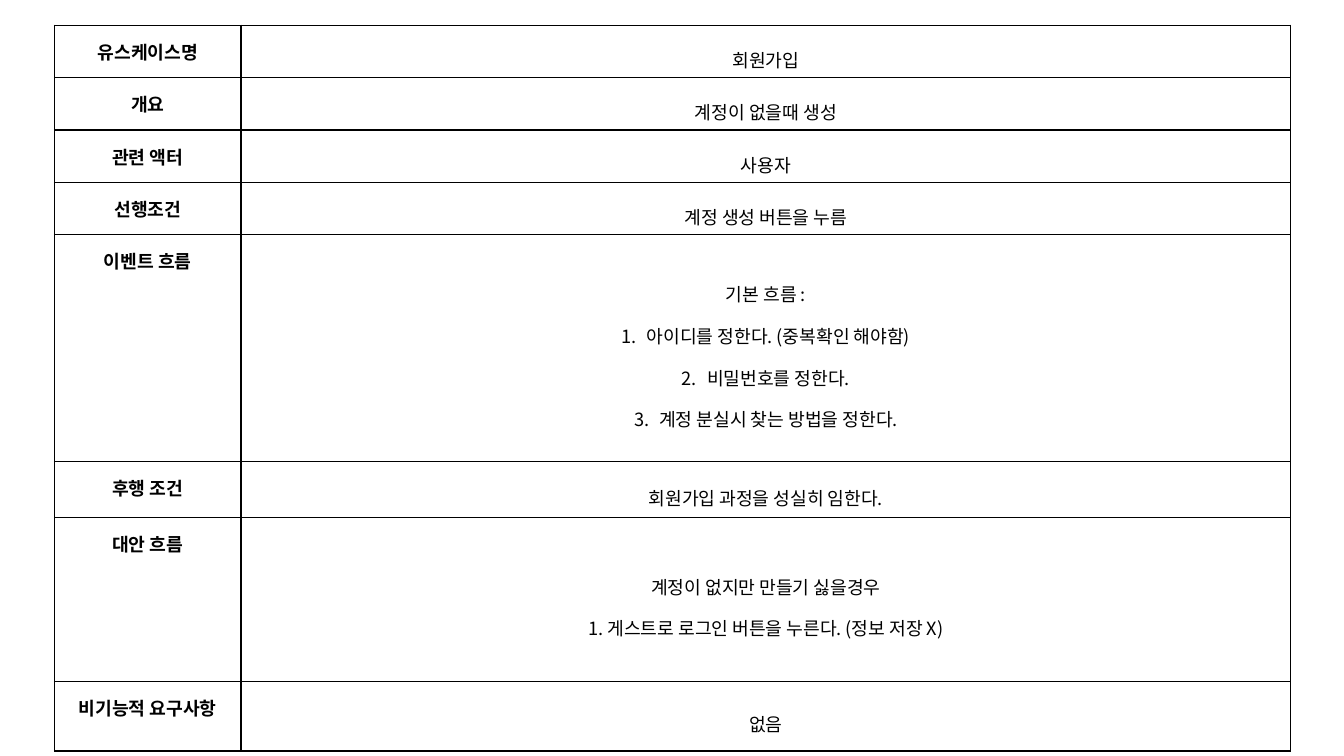
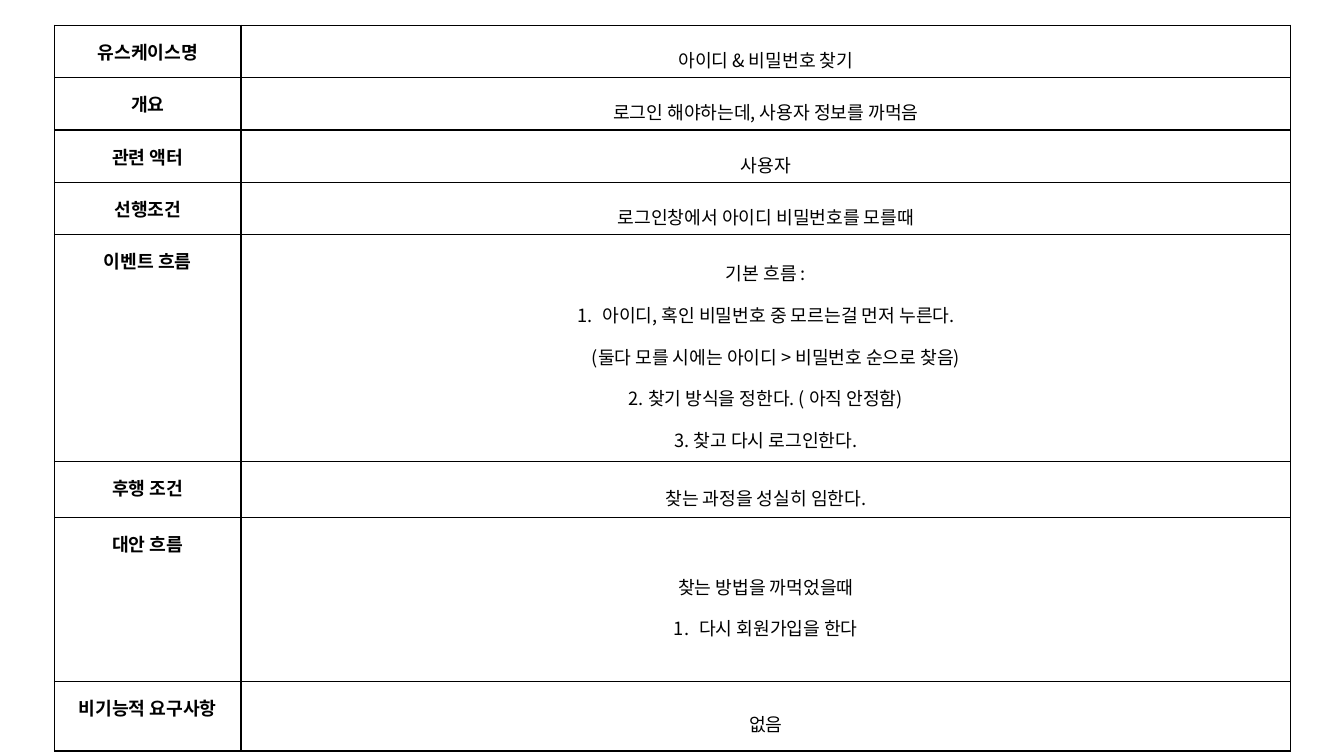
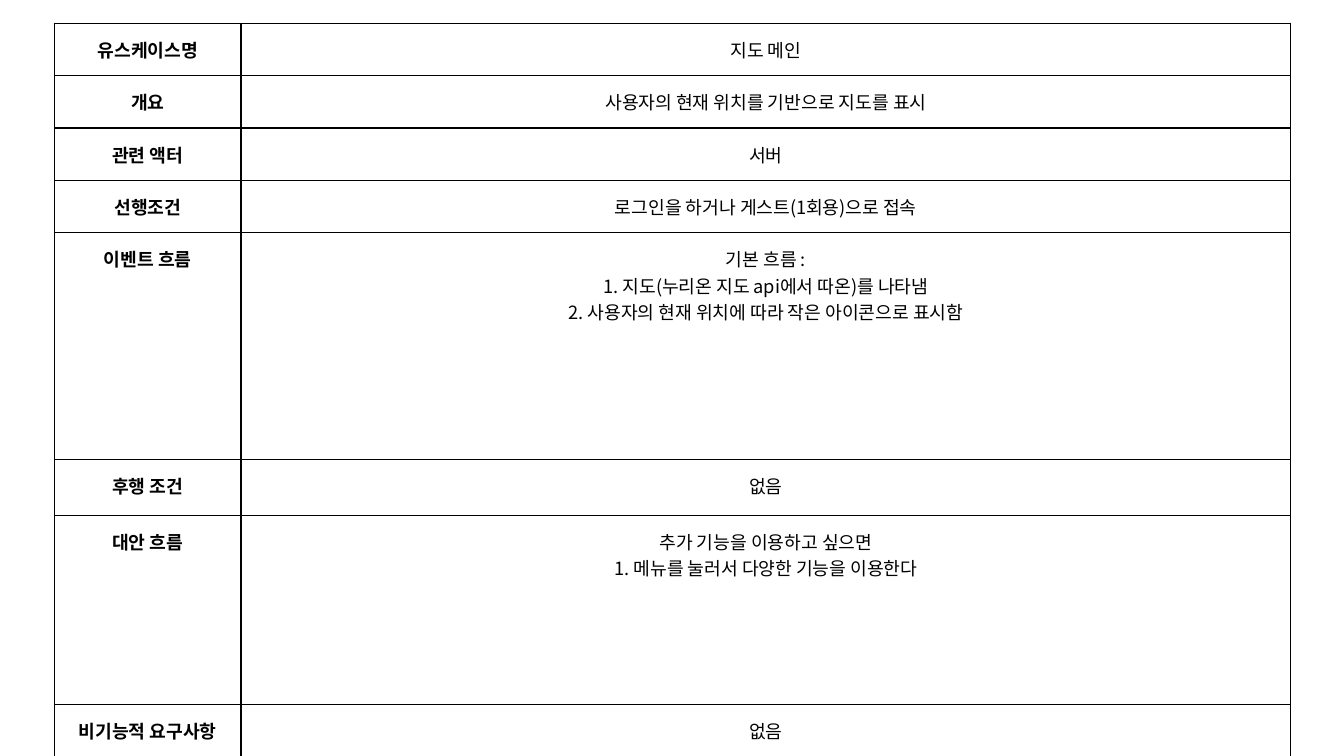
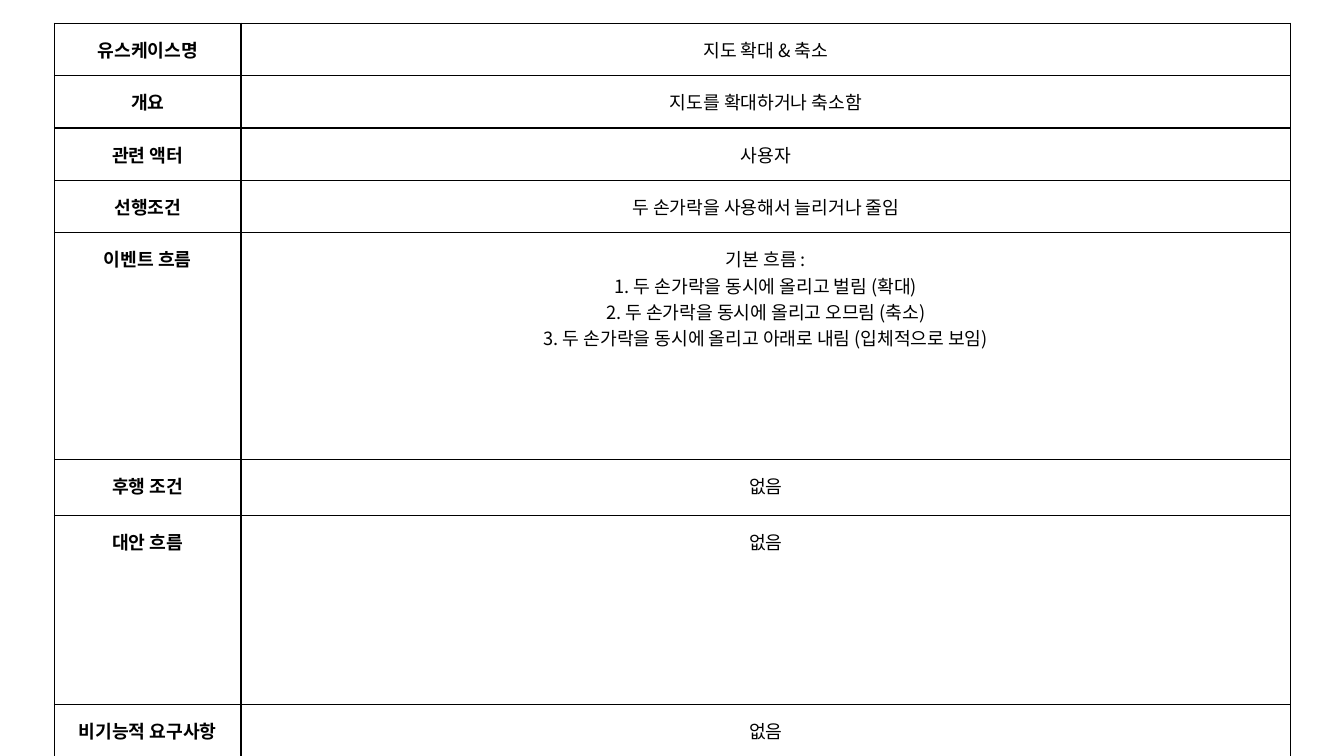
"""Build four use-case specification slides, one table each."""
from pptx import Presentation
from pptx.dml.color import RGBColor
from pptx.enum.text import MSO_ANCHOR, PP_ALIGN
from pptx.oxml.ns import qn
from pptx.util import Inches, Pt
from lxml.etree import SubElement

FONT = "Noto Sans CJK KR"
BLACK = "000000"
FIELDS = ["유스케이스명", "개요", "관련 액터", "선행조건",
          "이벤트 흐름", "후행 조건", "대안 흐름", "비기능적 요구사항"]
COLUMN_WIDTHS = [1.85, 10.41]
LOOSE = dict(top=0.25, heights=[0.46] * 4 + [2.25, 0.55, 1.63, 0.69],
             body=dict(anchor=MSO_ANCHOR.MIDDLE, side=0.07, edge=0.02, spacing=1.6))
TIGHT = dict(top=0.23, heights=[0.47] * 4 + [2.25, 0.55, 1.88, 0.47], body={})
NUMBERED = "# "
INDENTED = "> "

USE_CASES = [
    (LOOSE, [
        ["회원가입"],
        ["계정이 없을때 생성"],
        ["사용자"],
        ["계정 생성 버튼을 누름"],
        ["기본 흐름 :",
         "# 아이디를 정한다. (중복확인 해야함)",
         "# 비밀번호를 정한다.",
         "# 계정 분실시 찾는 방법을 정한다."],
        ["회원가입 과정을 성실히 임한다."],
        ["계정이 없지만 만들기 싫을경우",
         "1. 게스트로 로그인 버튼을 누른다. (정보 저장 X)"],
        ["없음"],
    ]),
    (LOOSE, [
        ["아이디 & 비밀번호 찾기"],
        ["로그인 해야하는데, 사용자 정보를 까먹음"],
        ["사용자"],
        ["로그인창에서 아이디 비밀번호를 모를때"],
        ["기본 흐름 :",
         "# 아이디, 혹인 비밀번호 중 모르는걸 먼저 누른다.",
         "> (둘다 모를 시에는 아이디 > 비밀번호 순으로 찾음)",
         "2. 찾기 방식을 정한다. ( 아직 안정함)",
         "3. 찾고 다시 로그인한다."],
        ["찾는 과정을 성실히 임한다."],
        ["찾는 방법을 까먹었을때",
         "# 다시 회원가입을 한다"],
        ["없음"],
    ]),
    (TIGHT, [
        ["지도 메인"],
        ["사용자의 현재 위치를 기반으로 지도를 표시"],
        ["서버"],
        ["로그인을 하거나 게스트(1회용)으로 접속"],
        ["기본 흐름 :",
         "1. 지도(누리온 지도 api에서 따온)를 나타냄",
         "2. 사용자의 현재 위치에 따라 작은 아이콘으로 표시함"],
        ["없음"],
        ["추가 기능을 이용하고 싶으면",
         "1. 메뉴를 눌러서 다양한 기능을 이용한다"],
        ["없음"],
    ]),
    (TIGHT, [
        ["지도 확대 & 축소"],
        ["지도를 확대하거나 축소함"],
        ["사용자"],
        ["두 손가락을 사용해서 늘리거나 줄임"],
        ["기본 흐름 :",
         "1. 두 손가락을 동시에 올리고 벌림 (확대)",
         "2. 두 손가락을 동시에 올리고 오므림 (축소)",
         "3. 두 손가락을 동시에 올리고 아래로 내림 (입체적으로 보임)"],
        ["없음"],
        ["없음"],
        ["없음"],
    ]),
]


def color(hex_value):
    return RGBColor.from_string(hex_value)


def write_cell(cell, lines, bold=False, anchor=MSO_ANCHOR.TOP, side=0.13, edge=0.13, spacing=None):
    cell.vertical_anchor = anchor
    cell.margin_left = cell.margin_right = Inches(side)
    cell.margin_top = cell.margin_bottom = Inches(edge)
    properties = cell._tc.get_or_add_tcPr()
    for border in ("a:lnL", "a:lnR", "a:lnT", "a:lnB"):
        line = SubElement(properties, qn(border), w=str(Pt(1)))
        SubElement(SubElement(line, qn("a:solidFill")), qn("a:srgbClr"), val=BLACK)
    cell.fill.background()
    for index, text in enumerate(lines):
        paragraph = cell.text_frame.paragraphs[0] if index == 0 else cell.text_frame.add_paragraph()
        paragraph.alignment = PP_ALIGN.CENTER
        paragraph.line_spacing = spacing
        layout = paragraph._p.get_or_add_pPr()
        if text.startswith(NUMBERED):
            layout.set("marL", str(Inches(0.25)))
            layout.set("indent", str(-Inches(0.25)))
            SubElement(layout, qn("a:buAutoNum"), type="arabicPeriod")
        elif text.startswith(INDENTED):
            layout.set("marL", str(Inches(0.2)))
        run = paragraph.add_run()
        run.text = text.removeprefix(NUMBERED).removeprefix(INDENTED)
        run.font.size = Pt(13)
        run.font.bold = bold
        run.font.name = FONT
        run.font.color.rgb = color(BLACK)
        SubElement(run._r.get_or_add_rPr(), qn("a:ea"), typeface=FONT)


deck = Presentation()
deck.slide_width = Inches(13.33)
deck.slide_height = Inches(7.5)
blank_layout = deck.slide_layouts[6]

for style, answers in USE_CASES:
    slide = deck.slides.add_slide(blank_layout)
    heights = style["heights"]
    table = slide.shapes.add_table(
        len(FIELDS), len(COLUMN_WIDTHS), Inches(0.54), Inches(style["top"]),
        Inches(sum(COLUMN_WIDTHS)), Inches(sum(heights))).table
    table.first_row = table.horz_banding = False
    for column, width in zip(table.columns, COLUMN_WIDTHS):
        column.width = Inches(width)
    for row, height, field, answer in zip(table.rows, heights, FIELDS, answers):
        row.height = Inches(height)
        write_cell(row.cells[0], [field], bold=True)
        write_cell(row.cells[1], answer, **style["body"])

deck.save("out.pptx")
